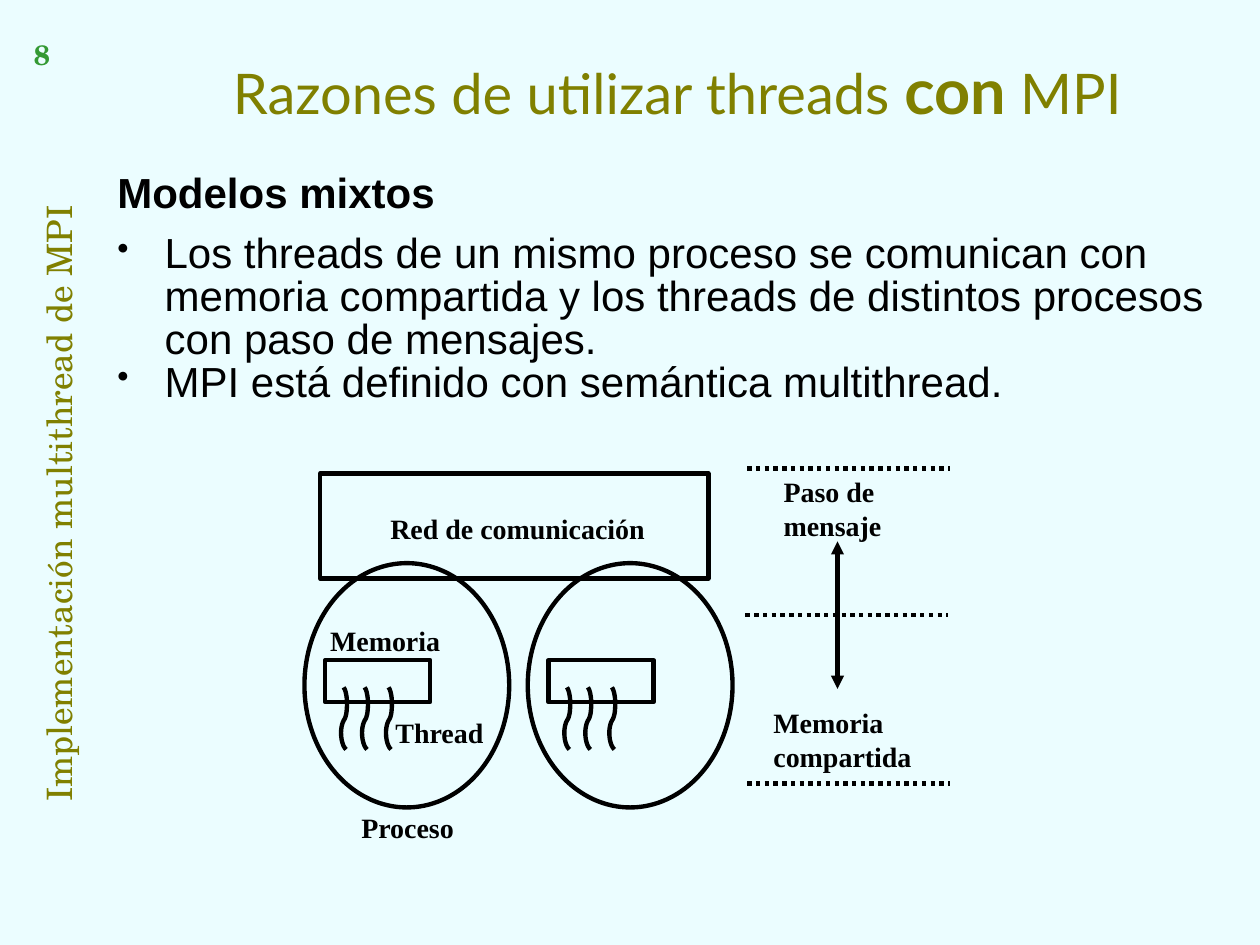
from typing import Any, NamedTuple

from lxml.etree import SubElement
from pptx import Presentation
from pptx.dml.color import RGBColor
from pptx.enum.dml import MSO_LINE
from pptx.enum.shapes import MSO_CONNECTOR, MSO_SHAPE
from pptx.enum.text import MSO_ANCHOR, MSO_AUTO_SIZE, PP_ALIGN
from pptx.oxml.ns import qn
from pptx.util import Pt

INK = "000000"
OLIVE = "808000"
BACKGROUND = "EBFDFF"
STROKE = 2.5
LABEL_FORMAT = {"name": "Times New Roman", "size": Pt(16), "bold": True}
BODY_FORMAT = {"name": "Arial", "size": Pt(24), "bold": False}
THREAD_CURVES = [
    [(22.4, 71), (23.8, 73), (24.3, 77), (24.3, 80)],
    [(24.3, 80), (24.3, 84), (24, 87), (23, 89)],
    [(23, 89), (21.6, 91), (20.9, 94), (20.9, 97)],
    [(20.9, 97), (20.9, 101), (22, 105), (23.8, 106.5)],
]
THREAD_OFFSETS = (0, 12, 25.7)


class Box(NamedTuple):
    left: float
    top: float
    width: float
    height: float


class Label(NamedTuple):
    text: str
    box: Box


class Divider(NamedTuple):
    left: float
    y: float


LABELS = [
    Label("Red de comunicación", Box(216, 288.7, 160.5, 26.6)),
    Label("Memoria", Box(181.5, 352.8, 78.5, 26.6)),
    Label("Thread", Box(218.9, 405.4, 78.5, 26.6)),
    Label("Proceso", Box(199.4, 459.4, 78.5, 26.6)),
    Label("Paso de mensaje", Box(440.7, 267.8, 78.5, 46)),
    Label("Memoria compartida", Box(434.9, 399.6, 95.8, 46)),
]
DIVIDERS = [Divider(427, 267.8), Divider(426, 351.4), Divider(427, 447.8)]
PROCESS_LEFTS = (174, 301.6)
PROCESS_TOP = 321.8


def color(value: str) -> RGBColor:
    return RGBColor.from_string(value)


def add_run(paragraph: Any, text: str, style: dict, ink: str = INK) -> None:
    run = paragraph.add_run()
    run.text = text
    for name, value in style.items():
        setattr(run.font, name, value)
    run.font.color.rgb = color(ink)


def add_text_box(slide: Any, box: Box) -> Any:
    holder = slide.shapes.add_textbox(*map(Pt, box))
    holder.text_frame.word_wrap = True
    return holder


def add_label(slide: Any, label: Label) -> None:
    holder = add_text_box(slide, label.box)
    add_run(holder.text_frame.paragraphs[0], label.text, LABEL_FORMAT)


def draw_outline(shape: Any) -> None:
    shape.shadow.inherit = False
    shape.fill.background()
    shape.line.color.rgb = color(INK)
    shape.line.width = Pt(STROKE)


def add_outline(slide: Any, kind: MSO_SHAPE, box: Box) -> None:
    draw_outline(slide.shapes.add_shape(kind, *map(Pt, box)))


def add_line(slide: Any, start: tuple, end: tuple) -> Any:
    connector = slide.shapes.add_connector(
        MSO_CONNECTOR.STRAIGHT, *map(Pt, start + end)
    )
    connector.line.color.rgb = color(INK)
    connector.line.width = Pt(STROKE)
    SubElement(connector._element.spPr, qn("a:effectLst"))
    return connector


def curve_point(curve: list, t: float) -> tuple:
    weights = ((1 - t) ** 3, 3 * t * (1 - t) ** 2, 3 * t**2 * (1 - t), t**3)
    return tuple(sum(w * p[axis] for w, p in zip(weights, curve)) for axis in (0, 1))


def add_thread(slide: Any, left: float, top: float) -> None:
    points = [THREAD_CURVES[0][0]]
    points += [curve_point(c, step / 6) for c in THREAD_CURVES for step in range(1, 7)]
    placed = [(Pt(left + x), Pt(top + y)) for x, y in points]
    builder = slide.shapes.build_freeform(*placed[0])
    builder.add_line_segments(placed[1:], close=False)
    draw_outline(builder.convert_to_shape())


def add_process(slide: Any, left: float) -> None:
    add_outline(slide, MSO_SHAPE.RECTANGLE, Box(left + 11.8, PROCESS_TOP + 55.4, 60, 24))
    add_outline(slide, MSO_SHAPE.OVAL, Box(left, PROCESS_TOP, 117, 139.6))
    for offset in THREAD_OFFSETS:
        add_thread(slide, left + offset, PROCESS_TOP)


def add_bullet(paragraph: Any) -> None:
    properties = paragraph._p.get_or_add_pPr()
    ink = SubElement(properties, qn("a:buClr"))
    SubElement(ink, qn("a:srgbClr"), val=INK)
    SubElement(properties, qn("a:buSzPct"), val="80000")
    SubElement(properties, qn("a:buChar"), char="•")


def add_title(slide: Any) -> None:
    title = slide.shapes.title
    place = {"left": Pt(54), "top": Pt(0), "width": Pt(666), "height": Pt(102)}
    for name, value in place.items():
        setattr(title, name, value)
    frame = title.text_frame
    layout = {
        "word_wrap": True,
        "auto_size": MSO_AUTO_SIZE.NONE,
        "vertical_anchor": MSO_ANCHOR.MIDDLE,
    }
    for name, value in layout.items():
        setattr(frame, name, value)
    paragraph = frame.paragraphs[0]
    paragraph.alignment = PP_ALIGN.CENTER
    for text, size, bold in (
        ("Razones de utilizar threads ", 32, False),
        ("con", 36, True),
        (" MPI", 32, False),
    ):
        add_run(paragraph, text, {"name": "Lato", "size": Pt(size), "bold": bold}, OLIVE)


def add_body(slide: Any) -> None:
    frame = add_text_box(slide, Box(60, 96, 642, 330)).text_frame
    heading = frame.paragraphs[0]
    add_run(heading, "Modelos mixtos", BODY_FORMAT | {"bold": True})
    heading.space_after = Pt(10)
    for text in (
        "Los threads de un mismo proceso se comunican con memoria compartida "
        "y los threads de distintos procesos con paso de mensajes.",
        "MPI está definido con semántica multithread.",
    ):
        item = frame.add_paragraph()
        add_bullet(item)
        add_run(item, text, BODY_FORMAT)
    for paragraph in frame.paragraphs:
        paragraph.line_spacing = 0.85
        properties = paragraph._p.get_or_add_pPr()
        properties.set("marL", str(Pt(27)))
        properties.set("indent", str(-Pt(27)))


def add_margin_text(slide: Any, label: Label, style: dict, ink: str, turn: int) -> None:
    holder = add_text_box(slide, label.box)
    holder.rotation = turn
    paragraph = holder.text_frame.paragraphs[0]
    paragraph.alignment = PP_ALIGN.CENTER
    add_run(paragraph, label.text, {"name": "TeX Gyre Schola"} | style, ink)


def add_diagram(slide: Any) -> None:
    add_outline(slide, MSO_SHAPE.RECTANGLE, Box(183, 270.6, 221.8, 60))
    for label in LABELS:
        add_label(slide, label)
    for left in PROCESS_LEFTS:
        add_process(slide, left)
    scope = add_line(slide, (478.6, 309.4), (478.6, 393.6))
    stroke = scope._element.spPr.find(qn("a:ln"))
    for end in ("a:headEnd", "a:tailEnd"):
        SubElement(stroke, qn(end), type="triangle")
    for divider in DIVIDERS:
        line = add_line(slide, (divider.left, divider.y), (divider.left + 116, divider.y))
        line.line.dash_style = MSO_LINE.ROUND_DOT


def main() -> None:
    deck = Presentation()
    deck.slide_width, deck.slide_height = Pt(720), Pt(540)
    slide = deck.slides.add_slide(deck.slide_layouts[5])
    slide.background.fill.solid()
    slide.background.fill.fore_color.rgb = color(BACKGROUND)
    sidebar = Label("Implementación multithread de MPI", Box(-195, 278.6, 444, 18))
    add_margin_text(slide, sidebar, {"size": Pt(20)}, OLIVE, 270)
    add_title(slide)
    add_body(slide)
    add_diagram(slide)
    number = Label("8", Box(6, 18, 36, 54))
    add_margin_text(slide, number, {"size": Pt(16), "bold": True}, "339933", 0)
    deck.save("out.pptx")


if __name__ == "__main__":
    main()
